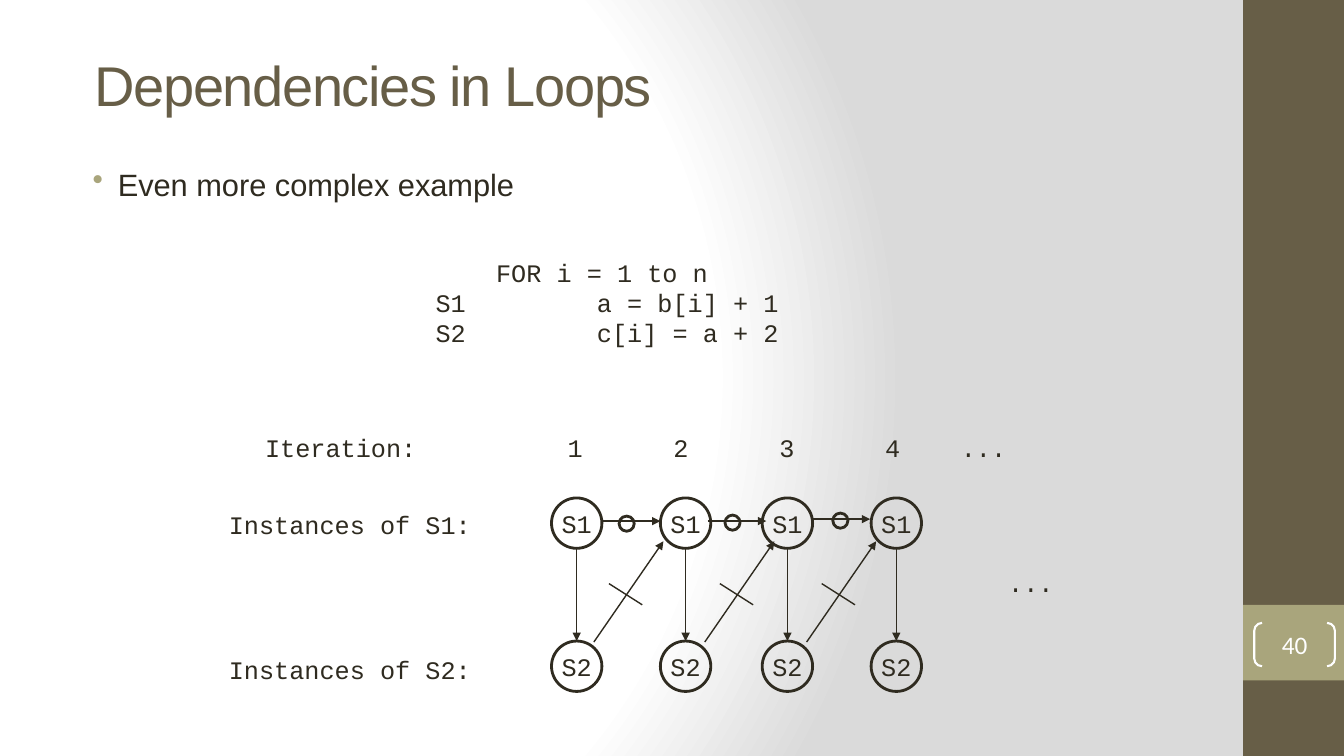
"""Build the slide on dependencies between loop iterations."""
from dataclasses import dataclass

from lxml import etree
from pptx import Presentation
from pptx.dml import color
from pptx.enum import shapes, text
from pptx.oxml import ns
from pptx.util import Inches, Pt


@dataclass(frozen=True)
class Theme:
    ink: color.RGBColor = color.RGBColor.from_string("2F2B20")
    brown: color.RGBColor = color.RGBColor.from_string("675E47")
    sand: color.RGBColor = color.RGBColor.from_string("A9A57C")
    white: color.RGBColor = color.RGBColor.from_string("FFFFFF")
    grey: color.RGBColor = color.RGBColor.from_string("DADADA")
    title_size: int = 40
    bullet_size: int = 22
    body_size: int = 18
    sans: str = "Arial"
    mono: str = "Courier New"
    number_font: str = "Calibri"


theme = Theme()
deck = Presentation()
deck.slide_width, deck.slide_height = Inches(13.33), Inches(7.5)
slide = deck.slides.add_slide(deck.slide_layouts[6])


def add_text(box, lines, inset=0.1, font=theme.mono, size=theme.body_size, ink=theme.ink):
    """Add a text box; each line is its wording, its tab stops and the space before it."""
    frame = slide.shapes.add_textbox(*map(Inches, box)).text_frame
    frame.word_wrap = True
    frame.margin_left = Inches(inset)
    for index, (wording, stops, gap) in enumerate(lines):
        paragraph = frame.add_paragraph() if index else frame.paragraphs[0]
        paragraph.text = wording
        paragraph.space_before = Pt(gap)
        paragraph.font.name, paragraph.font.size = font, Pt(size)
        paragraph.font.color.rgb = ink
        if stops:
            tab_list = etree.Element(ns.qn("a:tabLst"))
            for stop in stops:
                etree.SubElement(tab_list, ns.qn("a:tab"), pos=str(Inches(stop)), algn="l")
            paragraph._p.pPr.find(ns.qn("a:defRPr")).addprevious(tab_list)
    return frame


def add_line(x1, y1, x2, y2, arrow=True):
    """Draw a thin line, with an arrowhead at its end if wanted."""
    line = slide.shapes.add_connector(shapes.MSO_CONNECTOR.STRAIGHT, *map(Inches, (x1, y1, x2, y2)))
    line.line.color.rgb, line.line.width = theme.ink, Pt(1)
    if arrow:
        etree.SubElement(line.line._get_or_add_ln(), ns.qn("a:tailEnd"), type="triangle")
    etree.SubElement(line._element.spPr, ns.qn("a:effectLst"))


backdrop = slide.background.fill
backdrop.gradient()
gradient = slide.background._cSld.find(".//" + ns.qn("a:gradFill"))
for part in list(gradient):
    gradient.remove(part)
stop_list = etree.SubElement(gradient, ns.qn("a:gsLst"))
for position, shade in ((0, theme.white), (75, theme.white), (100, theme.grey)):
    stop = etree.SubElement(stop_list, ns.qn("a:gs"), pos=str(position * 1000))
    etree.SubElement(stop, ns.qn("a:srgbClr"), val=str(shade))
circle_path = etree.SubElement(gradient, ns.qn("a:path"))
circle_path.set("path", "circle")
etree.SubElement(circle_path, ns.qn("a:fillToRect"), l="20000", t="50000", r="100000", b="50000")

for top, height, shade in ((0, 7.5, theme.brown), (6, 0.75, theme.sand)):
    band = slide.shapes.add_shape(shapes.MSO_SHAPE.RECTANGLE, *map(Inches, (12.33, top, 1, height)))
    band.shadow.inherit = False
    band.fill.solid()
    band.fill.fore_color.rgb = shade
    band.line.fill.background()

heading = add_text((0.84, 0.61, 10.91, 0.45), [("Dependencies in Loops", (), 0)],
                   font=theme.sans, size=theme.title_size, ink=theme.brown)
heading.vertical_anchor = text.MSO_ANCHOR.MIDDLE
heading.paragraphs[0].runs[0]._r.get_or_add_rPr().set("spc", "-100")

topic = add_text((0.69, 1.59, 11.46, 0.5), [("Even more complex example", (), 4.4)],
                 font=theme.sans, size=theme.bullet_size)
topic_props = topic.paragraphs[0]._p.pPr
topic_props.set("marL", str(Inches(0.38)))
topic_props.set("indent", str(Inches(-0.25)))
bullet_color = etree.Element(ns.qn("a:buClr"))
etree.SubElement(bullet_color, ns.qn("a:srgbClr"), val=str(theme.sand))
bullet = etree.Element(ns.qn("a:buChar"), char="•")
for part in (bullet_color, bullet):
    topic_props.find(ns.qn("a:defRPr")).addprevious(part)

add_text((3.77, 2.5, 5.79, 1.01), [
    ("\tFOR i = 1 to n", (0.6,), 0),
    ("S1\ta = b[i] + 1", (1.6,), 0),
    ("S2\tc[i] = a + 2", (1.6,), 0),
], inset=0.55)
add_text((1.72, 4.24, 8.73, 0.4),
         [("Iteration:\t1\t2\t3\t4\t...", (3, 4.05, 5.1, 6.15, 6.9), 0)], inset=0.91)
add_text((1.72, 5, 9.03, 1.82), [
    ("Instances of S1:", (), 0),
    ("\t...", (7.73,), 20.4),
    ("Instances of S2:", (), 40.3),
], inset=0.55)

NODE, RING = 0.5, 0.15
S1_TOP, S2_TOP = 4.94, 6.36
iteration_centers = (5.72, 6.8, 7.81, 8.89)
nodes = [(center - NODE / 2, top, NODE, label) for center in iteration_centers
         for label, top in (("S1", S1_TOP), ("S2", S2_TOP))]
rings = [(left, top, RING, "") for left, top in ((6.14, 5.12), (7.19, 5.11), (8.26, 5.09))]
for left, top, size, label in nodes + rings:
    circle = slide.shapes.add_shape(shapes.MSO_SHAPE.OVAL, *map(Inches, (left, top, size, size)))
    circle.shadow.inherit = False
    circle.fill.background()
    circle.line.color.rgb, circle.line.width = theme.ink, Pt(2)
    if label:
        frame = circle.text_frame
        frame.margin_left = frame.margin_right = frame.margin_top = frame.margin_bottom = 0
        frame.word_wrap = False
        frame.text = label
        name = frame.paragraphs[0]
        name.alignment = text.PP_ALIGN.CENTER
        name.font.name, name.font.size = theme.mono, Pt(theme.body_size)
        name.font.color.rgb = theme.ink

for center in iteration_centers:
    add_line(center, S1_TOP + NODE, center, S2_TOP)
for left, level in ((5.97, 5.17), (7.02, 5.17), (8.05, 5.15)):
    add_line(left, level, left + 0.58, level)
for left in (5.89, 6.99, 8):
    add_line(left, 6.37, left + 0.69, 5.37)
    add_line(left + 0.15, 5.79, left + 0.48, 6, arrow=False)

page = slide.shapes.add_shape(shapes.MSO_SHAPE.DOUBLE_BRACKET, *map(Inches, (12.44, 6.18, 0.8, 0.43)))
page.shadow.inherit = False
page.adjustments[0] = 0.18
page.fill.background()
page.line.color.rgb, page.line.width = theme.white, Pt(1.5)
frame = page.text_frame
frame.margin_left = frame.margin_right = frame.margin_top = frame.margin_bottom = 0
frame.vertical_anchor = text.MSO_ANCHOR.MIDDLE
frame.text = "40"
number = frame.paragraphs[0]
number.alignment = text.PP_ALIGN.CENTER
number.font.name, number.font.size = theme.number_font, Pt(theme.body_size)
number.font.color.rgb = theme.white

deck.save("out.pptx")
